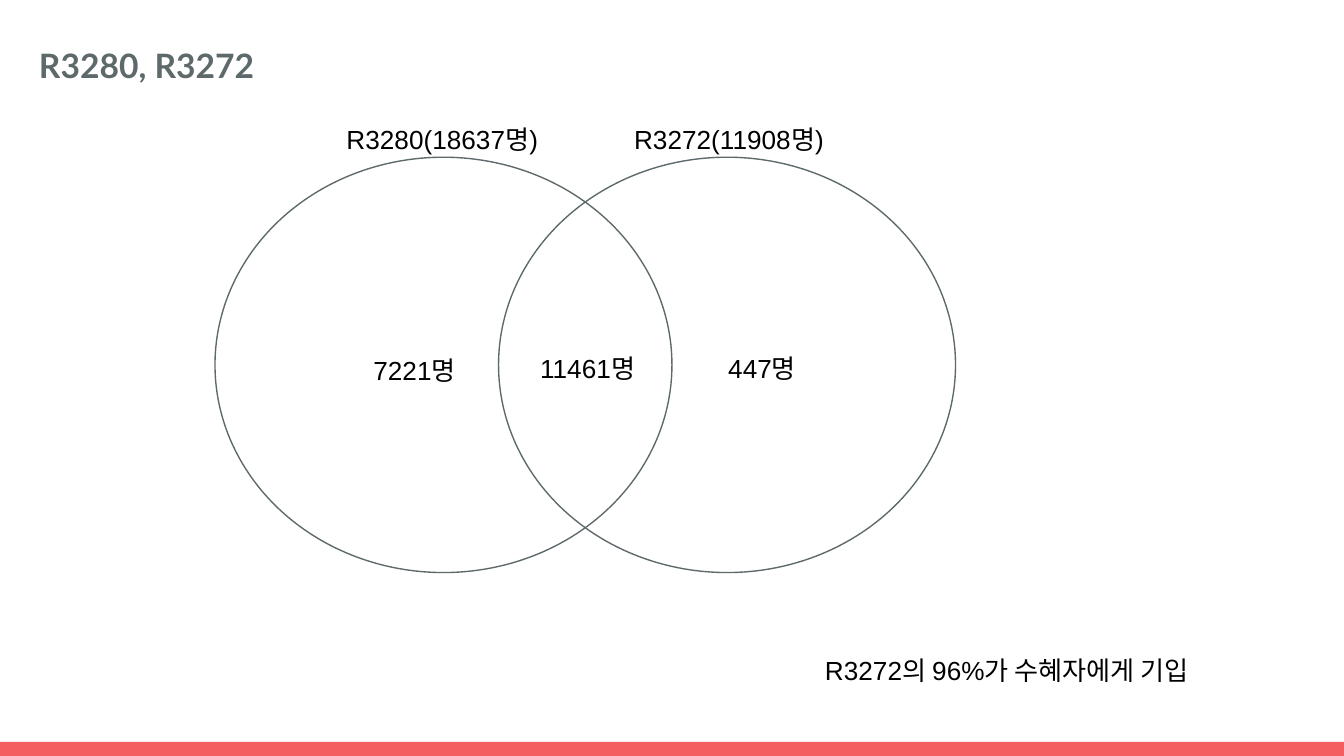
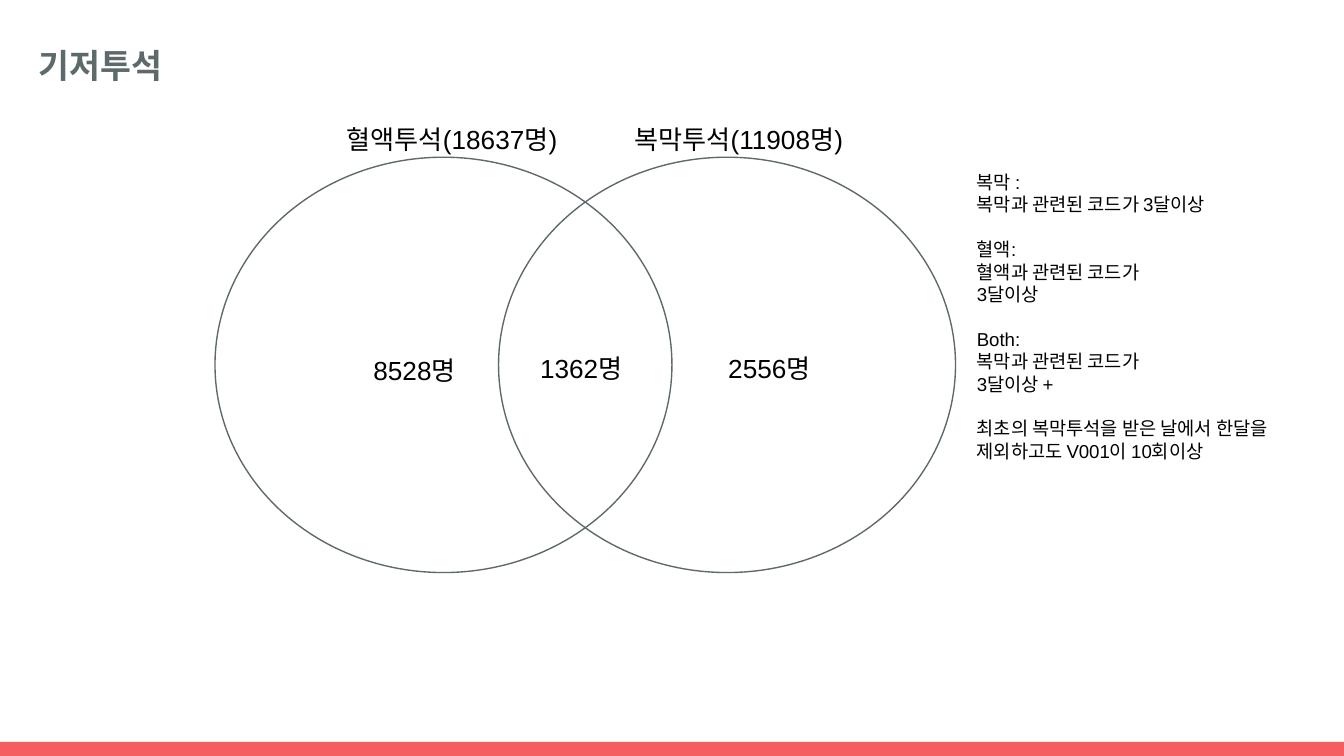
from dataclasses import dataclass
from pptx import Presentation
from pptx.dml.color import RGBColor
from pptx.enum import shapes, text
from pptx.util import Inches, Pt


@dataclass(frozen=True)
class Theme:
    slate: RGBColor = RGBColor.from_string("5E696C")
    coral: RGBColor = RGBColor.from_string("F55E61")
    black: RGBColor = RGBColor.from_string("000000")
    heading_font: str = "Lato"
    body_font: str = "Arial"
    heading: Pt = Pt(18)
    label: Pt = Pt(14)
    note: Pt = Pt(10)
    outline: Pt = Pt(0.75)


theme = Theme()


def prepare_frame(frame):
    frame.word_wrap = True
    frame.auto_size = text.MSO_AUTO_SIZE.NONE
    frame.vertical_anchor = text.MSO_ANCHOR.TOP
    frame.margin_left = frame.margin_right = Inches(0.1)
    frame.margin_top = frame.margin_bottom = Inches(0.1)


def add_text(slide, box, groups, size):
    frame = slide.shapes.add_textbox(*map(Inches, box)).text_frame
    prepare_frame(frame)
    paragraph = None
    for group in groups:
        for index, line in enumerate(group):
            starts_group = paragraph is not None and index == 0
            paragraph = frame.add_paragraph() if paragraph is not None else frame.paragraphs[0]
            if starts_group:
                paragraph.space_before = Pt(12)
            run = paragraph.add_run()
            run.text = line
            run.font.name = theme.body_font
            run.font.size = size
            run.font.color.rgb = theme.black


circle_lefts = (1.6, 3.71)
label_boxes = (
    (2.48, 0.82, 2.04, 0.35),
    (4.62, 0.82, 2.04, 0.35),
    (2.68, 2.54, 1.25, 0.35),
    (3.92, 2.52, 1.02, 0.44),
    (5.32, 2.52, 1.25, 0.42),
)
comparisons = (
    (
        "R3280, R3272",
        ("R3280(18637명)", "R3272(11908명)", "7221명", "11461명", "447명"),
        (6.04, 4.77, 3.66, 0.48),
        (("R3272의 96%가 수혜자에게 기입",),),
        theme.label,
    ),
    (
        "기저투석",
        ("혈액투석(18637명)", "복막투석(11908명)", "8528명", "1362명", "2556명"),
        (7.17, 1.17, 2.83, 4),
        (
            ("복막 :", "복막과 관련된 코드가 3달이상"),
            ("혈액:", "혈액과 관련된 코드가", "3달이상"),
            ("Both:", "복막과 관련된 코드가", "3달이상 +"),
            ("최초의 복막투석을 받은 날에서 한달을 제외하고도 V001이 10회이상",),
        ),
        theme.note,
    ),
)

deck = Presentation()
deck.slide_width = Inches(10)
deck.slide_height = deck.slide_width * 9 // 16
title_only = deck.slide_layouts[5]

for heading, labels, note_box, note_groups, note_size in comparisons:
    slide = deck.slides.add_slide(title_only)

    if len(deck.slides) == 1:
        band_top = Inches(5.52)
        footer_band = slide.shapes.add_shape(
            shapes.MSO_SHAPE.RECTANGLE, 0, band_top,
            deck.slide_width, deck.slide_height - band_top)
        footer_band.shadow.inherit = False
        footer_band.fill.solid()
        footer_band.fill.fore_color.rgb = theme.coral
        footer_band.line.fill.background()
        title_only.shapes.element.append(footer_band.element)

    title = slide.shapes.title
    title.left, title.top = Inches(0.19), Inches(0.19)
    title.width, title.height = Inches(9.32), Inches(0.6)
    prepare_frame(title.text_frame)
    title_line = title.text_frame.paragraphs[0]
    title_line.alignment = text.PP_ALIGN.LEFT
    title_line.line_spacing = 1.15
    title_run = title_line.add_run()
    title_run.text = heading
    title_run.font.name = theme.heading_font
    title_run.font.size = theme.heading
    title_run.font.bold = True
    title_run.font.color.rgb = theme.slate

    for left in circle_lefts:
        circle = slide.shapes.add_shape(
            shapes.MSO_SHAPE.OVAL, Inches(left), Inches(1.17), Inches(3.4), Inches(3.09))
        circle.shadow.inherit = False
        circle.fill.background()
        circle.line.color.rgb = theme.slate
        circle.line.width = theme.outline

    for box, label in zip(label_boxes, labels):
        add_text(slide, box, ((label,),), theme.label)

    add_text(slide, note_box, note_groups, note_size)

deck.save("out.pptx")
